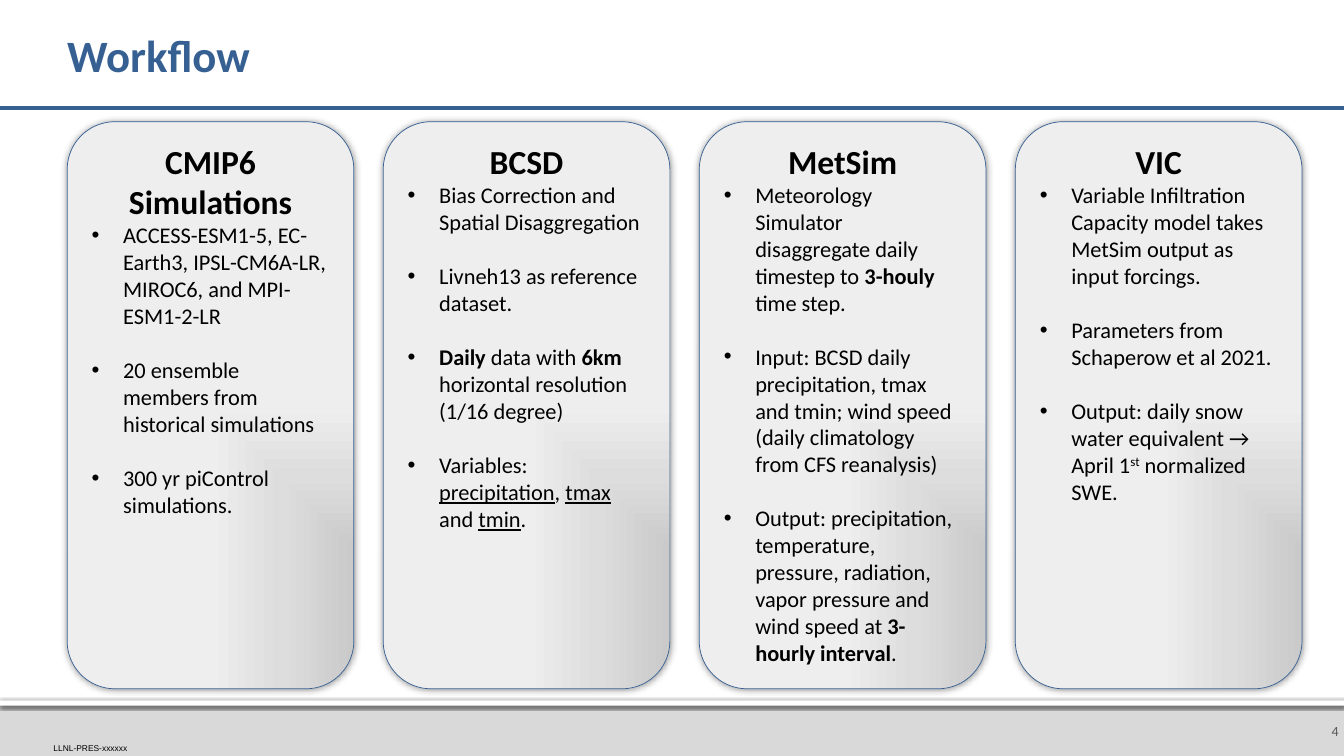
from lxml import etree
from pptx import Presentation
from pptx.dml.color import RGBColor
from pptx.enum.shapes import MSO_CONNECTOR, MSO_SHAPE
from pptx.enum.text import MSO_ANCHOR, PP_ALIGN
from pptx.oxml import parse_xml
from pptx.oxml.ns import nsdecls, qn
from pptx.util import Emu, Pt

RECT, ROUND = MSO_SHAPE.RECTANGLE, MSO_SHAPE.ROUNDED_RECTANGLE
LINE = MSO_CONNECTOR.STRAIGHT
LEFT, MID, RIGHT = PP_ALIGN.LEFT, PP_ALIGN.CENTER, PP_ALIGN.RIGHT
TOP, CENTER, BASE = MSO_ANCHOR.TOP, MSO_ANCHOR.MIDDLE, MSO_ANCHOR.BOTTOM
BLUE = RGBColor(0x37, 0x60, 0x92)
BLACK = RGBColor(0, 0, 0)
WHITE = RGBColor(0xFF, 0xFF, 0xFF)
SILVER = RGBColor(0xD9, 0xD9, 0xD9)
SLATE = RGBColor(0x59, 0x59, 0x59)
SHADES = ((0, RGBColor(0xCA, 0xCA, 0xCA)), (50, RGBColor(0xDD, 0xDD, 0xDD)),
          (100, RGBColor(0xEE, 0xEE, 0xEE)))
SCALE = 9525
WIDE, HIGH = 1280, 720
EDGE, STEP, INDENT = 64, 301, 30
CARDS = (
    ("CMIP6 Simulations", (
        "ACCESS-ESM1-5, EC-Earth3, IPSL-CM6A-LR, MIROC6, and MPI-ESM1-2-LR",
        "20 ensemble members from historical simulations",
        "300 yr piControl simulations.")),
    ("BCSD", (
        "Bias Correction and Spatial Disaggregation",
        "Livneh13 as reference dataset.",
        "*Daily| data with |*6km| horizontal resolution (1/16 degree)",
        "Variables: |_precipitation|, |_tmax| and |_tmin|.")),
    ("MetSim", (
        "Meteorology Simulator disaggregate daily timestep to |*3-houly |time step.",
        "Input: BCSD daily precipitation, tmax and tmin; wind speed "
        "(daily climatology from CFS reanalysis)",
        "Output: precipitation, temperature, pressure, radiation, vapor pressure "
        "and wind speed at |*3-hourly interval|.")),
    ("VIC", (
        "Variable Infiltration Capacity model takes MetSim output as input forcings.",
        "Parameters from Schaperow et al 2021.",
        "Output: daily snow water equivalent → April 1|^st| normalized SWE.")),
)


def px(*sizes):
    """Turn pixel lengths into EMU."""
    return [Emu(size * SCALE) for size in sizes]


def style(font, size, color, bold=False, name="Calibri"):
    """Set the look of a font."""
    font.name, font.size, font.bold = name, Pt(size), bold
    font.color.rgb = color


def pad(frame, anchor, *sides):
    """Wrap a frame and set its anchor and four insets."""
    frame.word_wrap, frame.vertical_anchor = True, anchor
    (frame.margin_left, frame.margin_top,
     frame.margin_right, frame.margin_bottom) = px(*sides)


def shade(shape, alpha, blur, dist, angle):
    """Give a shape a soft black outer shadow."""
    shape.shadow.inherit = False
    glow = parse_xml(
        f'<a:outerShdw {nsdecls("a")} blurRad="{Pt(blur)}" dist="{Pt(dist)}" '
        f'dir="{angle * 60000}" algn="ctr" rotWithShape="0"><a:srgbClr val="{BLACK}">'
        f'<a:alpha val="{alpha * 1000}"/></a:srgbClr></a:outerShdw>')
    shape._element.spPr.find(qn("a:effectLst")).append(glow)


def blend(shape):
    """Fill a shape with a gradient from its lower right corner."""
    stops = "".join(f'<a:gs pos="{at * 1000}"><a:srgbClr val="{color}"/></a:gs>'
                    for at, color in SHADES)
    fill = parse_xml(
        f'<a:gradFill {nsdecls("a")} rotWithShape="1"><a:gsLst>{stops}</a:gsLst>'
        '<a:path path="rect"><a:fillToRect l="100000" t="100000"/></a:path></a:gradFill>')
    shape._element.spPr.find(qn("a:prstGeom")).addnext(fill)


def band(slide, top, height, color):
    """Draw a plain bar across the slide."""
    bar = slide.shapes.add_shape(RECT, *px(0, top, WIDE, height))
    bar.shadow.inherit = False
    bar.fill.solid()
    bar.fill.fore_color.rgb = color
    bar.line.fill.background()
    return bar


def rule(slide, top):
    """Draw the blue line below the title."""
    line = slide.shapes.add_connector(LINE, *px(-1, top, WIDE, top))
    line.line.color.rgb, line.line.width = BLUE, Pt(3)
    etree.SubElement(line._element.spPr, qn("a:effectLst"))


def label(slide, text, box, anchor, sides, align, size, color, name):
    """Add a one-line text box."""
    frame = slide.shapes.add_textbox(*px(*box)).text_frame
    pad(frame, anchor, *sides)
    frame.text = text
    para = frame.paragraphs[0]
    para.alignment = align
    style(para.runs[0].font, size, color, name=name)


def point(frame, text, gap):
    """Add a bullet whose marked parts are bold, underlined or raised."""
    para = frame.add_paragraph()
    para.alignment, para.space_before = LEFT, Pt(gap)
    props = para._p.get_or_add_pPr()
    indent = INDENT * SCALE
    props.set("marL", str(indent))
    props.set("indent", str(-indent))
    etree.SubElement(props, qn("a:buFont")).set("typeface", "Arial")
    etree.SubElement(props, qn("a:buChar")).set("char", "•")
    for part in text.split("|"):
        mark = part[0] if part[0] in "*_^" else ""
        run = para.add_run()
        run.text = part[len(mark):]
        style(run.font, 16, BLACK, mark == "*")
        if mark == "_":
            run.font.underline = True
        if mark == "^":
            run._r.get_or_add_rPr().set("baseline", "30000")


def card(slide, left, head, points):
    """Draw a rounded card with a heading and bullets."""
    shape = slide.shapes.add_shape(ROUND, *px(left, 116, 273, 540))
    blend(shape)
    shape.line.color.rgb, shape.line.width = BLUE, Pt(0.5)
    shade(shape, 40, 5, 0, 0)
    frame = shape.text_frame
    pad(frame, TOP, 10, 5, 10, 5)
    frame.text = head
    para = frame.paragraphs[0]
    para.alignment = MID
    style(para.runs[0].font, 24, BLACK, True)
    for num, text in enumerate(points):
        point(frame, text, 19.5 if num else 0)


def title(slide, text):
    """Place and format the slide title."""
    shape = slide.shapes.title
    shape.left, shape.top, shape.width, shape.height = px(EDGE, 2, 1152, 106)
    frame = shape.text_frame
    pad(frame, CENTER, 0, 5, 5, 5)
    frame.text = text
    para = frame.paragraphs[0]
    para.alignment, para.line_spacing = LEFT, 0.9
    style(para.runs[0].font, 32, BLUE, True)


def main():
    """Build the workflow slide."""
    deck = Presentation()
    deck.slide_width, deck.slide_height = px(WIDE, HIGH)
    slide = deck.slides.add_slide(deck.slide_layouts[5])
    band(slide, 667, 53, SILVER)
    shade(band(slide, 667, 5, WHITE), 60, 2.5, 0.8, 90)
    label(slide, "4", (1236, 672, 44, 48), CENTER, (10, 5, 5, 5),
          RIGHT, 10, SLATE, "Calibri")
    rule(slide, 103)
    label(slide, "LLNL-PRES-xxxxxx", (51, 707, 92, 10), BASE, (0, 0, 0, 0),
          LEFT, 6, BLACK, "Arial")
    title(slide, "Workflow")
    for num, (head, points) in enumerate(CARDS):
        card(slide, EDGE + num * STEP, head, points)
    deck.save("out.pptx")


if __name__ == "__main__":
    main()
